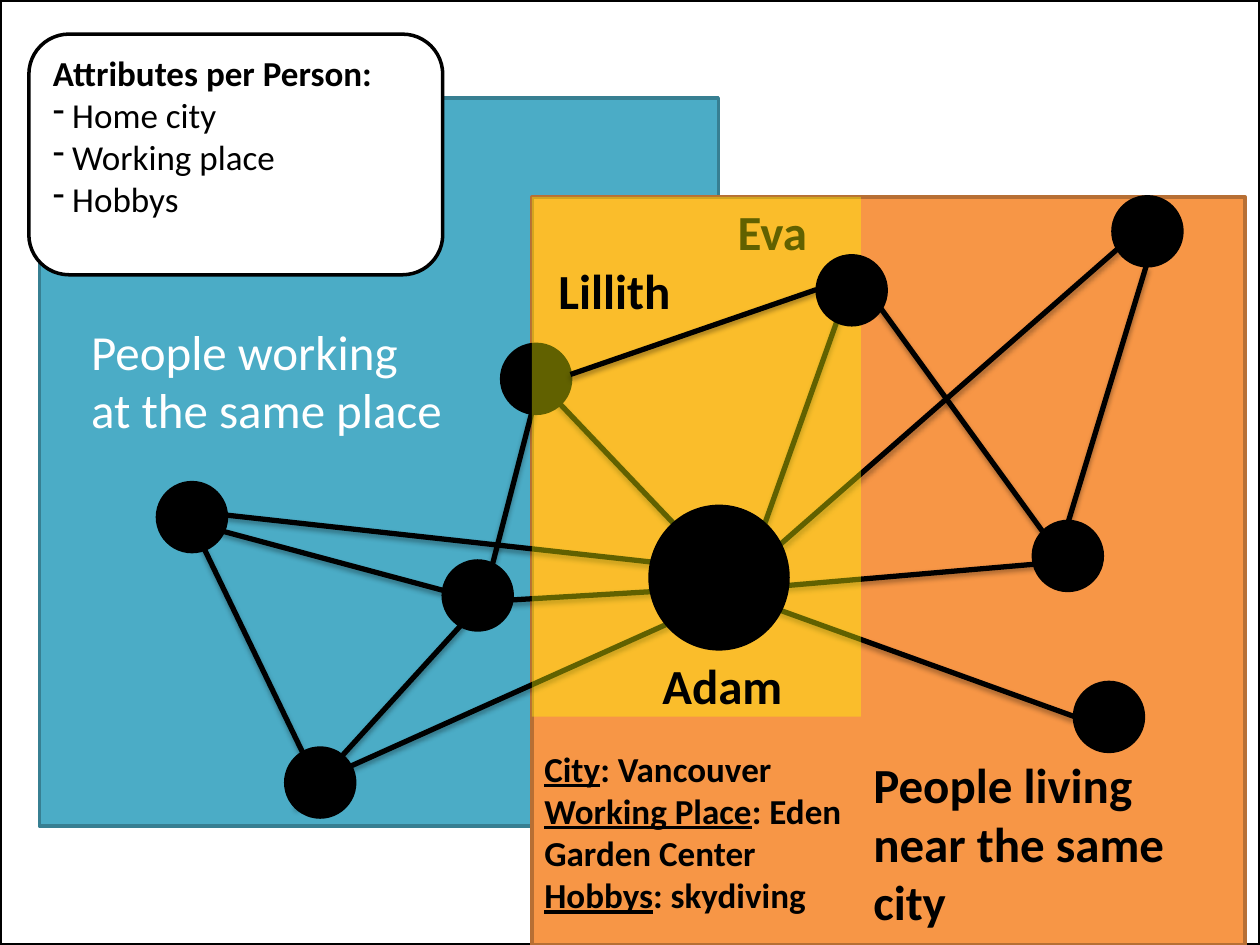
from typing import NamedTuple
from lxml.etree import SubElement
from pptx import Presentation
from pptx.dml.color import RGBColor
from pptx.enum.shapes import MSO_CONNECTOR, MSO_SHAPE
from pptx.enum.text import MSO_ANCHOR, PP_ALIGN
from pptx.oxml.ns import qn
from pptx.util import Pt


class Wire(NamedTuple):
    x1: float
    y1: float
    x2: float
    y2: float


class Node(NamedTuple):
    x: float
    y: float
    w: float = 39.4
    h: float = 39.4


class Run(NamedTuple):
    text: str
    bold: bool = True
    under: bool = False


class Label(NamedTuple):
    x: float
    y: float
    w: float
    h: float
    lines: list[list[Run]]
    size: float = 28
    color: str = "000000"
    wrap: bool = False


BACK = [
    Wire(281.5, 343.5, 382.5, 337.5),
    Wire(416, 337.5, 613.5, 320.5),
    Wire(399.5, 332, 614, 409.5),
    Wire(410.5, 343.5, 185.5, 444.5),
    Wire(112.5, 292.5, 416, 326),
    Wire(422, 332, 647.5, 134.5),
    Wire(106.5, 298, 276, 343.5),
    Wire(106.5, 292.5, 185.5, 456),
    Wire(427.5, 326, 489.5, 152),
    Wire(276, 343.5, 169, 461),
    Wire(304, 214, 410.5, 326),
    Wire(276, 343.5, 309.5, 214),
]
FRONT = [
    Wire(655, 152, 610.5, 298),
    Wire(501, 173, 596, 304),
    Wire(326, 214, 466.5, 165.5),
]
NODES = [
    Node(163.3, 427.5),
    Node(614, 390),
    Node(590.5, 298),
    Node(90, 275.8),
    Node(253.3, 320.6),
    Node(286.7, 196.8),
    Node(636, 112.5),
]
EVA = Node(467, 146.2)
ADAM = Node(371.5, 289.4, 78.8, 81.4)

NAME = Label(414.5, 111.5, 55, 41, [[Run("Eva")]])
LABELS = [
    Label(312, 145.5, 79, 41, [[Run("Lillith")]]),
    Label(371.5, 371, 83.5, 41, [[Run("Adam")]]),
    Label(492, 427.5, 227, 75,
          [[Run("People living")], [Run("near the same city")]]),
    Label(45, 180, 217, 75,
          [[Run("People working", False)], [Run("at the same place", False)]],
          color="FFFFFF"),
    Label(304, 423.5, 214, 116,
          [[Run("City", under=True), Run(": Vancouver")],
           [Run("Working Place", under=True), Run(": Eden Garden Center")],
           [Run("Hobbys", under=True), Run(": skydiving")]],
          size=20, wrap=True),
]

deck = Presentation()
deck.slide_width, deck.slide_height = Pt(720), Pt(540)
slide = deck.slides.add_slide(deck.slide_layouts[6])


def paint(code: str) -> RGBColor:
    return RGBColor.from_string(code)


def add_box(kind, x: float, y: float, w: float, h: float,
            fill: str, edge: str | None = None):
    box = slide.shapes.add_shape(kind, Pt(x), Pt(y), Pt(w), Pt(h))
    box.shadow.inherit = False
    box.fill.solid()
    box.fill.fore_color.rgb = paint(fill)
    if edge:
        box.line.color.rgb = paint(edge)
        box.line.width = Pt(2)
    else:
        box.line.fill.background()
    return box


def add_node(node: Node) -> None:
    add_box(MSO_SHAPE.OVAL, *node, "000000", "000000")


def add_wire(wire: Wire) -> None:
    line = slide.shapes.add_connector(
        MSO_CONNECTOR.STRAIGHT, *(Pt(v) for v in wire))
    line.line.color.rgb = paint("000000")
    line.line.width = Pt(3)
    effect = SubElement(line._element.spPr, qn("a:effectLst"))
    shade = SubElement(effect, qn("a:outerShdw"), blurRad=str(Pt(3.1)),
                       dist=str(Pt(1.8)), dir="5400000", rotWithShape="0")
    tint = SubElement(shade, qn("a:srgbClr"), val="000000")
    SubElement(tint, qn("a:alpha"), val="35000")


def write(frame, lines: list[list[Run]], size: float, color: str) -> None:
    for i, runs in enumerate(lines):
        para = frame.paragraphs[0] if i == 0 else frame.add_paragraph()
        para.alignment = PP_ALIGN.LEFT
        for item in runs:
            run = para.add_run()
            run.text = item.text
            font = run.font
            font.name, font.size = "Calibri", Pt(size)
            font.bold, font.underline = item.bold, item.under
            font.color.rgb = paint(color)


def add_label(label: Label) -> None:
    box = slide.shapes.add_textbox(
        Pt(label.x), Pt(label.y), Pt(label.w), Pt(label.h))
    box.text_frame.word_wrap = label.wrap
    write(box.text_frame, label.lines, label.size, label.color)


def add_card() -> None:
    card = add_box(MSO_SHAPE.ROUNDED_RECTANGLE, 16.5, 19.5, 236.5, 137.5,
                   "FFFFFF", "000000")
    frame = card.text_frame
    frame.word_wrap = True
    frame.vertical_anchor = MSO_ANCHOR.MIDDLE
    frame.margin_bottom = Pt(25.5)
    items = ["Home city", "Working place", "Hobbys"]
    lines = [[Run("Attributes per Person:")]]
    lines += [[Run(item, False)] for item in items]
    write(frame, lines, 20, "000000")
    for para in frame.paragraphs[1:]:
        props = para._p.get_or_add_pPr()
        props.set("marL", str(Pt(11)))
        props.set("indent", str(Pt(-11)))
        SubElement(props, qn("a:buFontTx"))
        SubElement(props, qn("a:buChar"), char="-")


add_box(MSO_SHAPE.RECTANGLE, 0, 0, 720, 540, "FFFFFF", "000000")
add_box(MSO_SHAPE.RECTANGLE, 22.5, 56, 388, 416, "4BACC6", "377F92")
add_box(MSO_SHAPE.RECTANGLE, 304, 112.5, 407.5, 427.5, "F79646", "B76F34")
add_card()
for wire in BACK:
    add_wire(wire)
add_label(NAME)
for node in NODES:
    add_node(node)
glaze = add_box(MSO_SHAPE.RECTANGLE, 304, 112.5, 188, 297, "FFFF00")
tone = glaze._element.spPr.find(qn("a:solidFill")).find(qn("a:srgbClr"))
SubElement(tone, qn("a:alpha"), val="38000")
for node in (EVA, ADAM):
    add_node(node)
for label in LABELS:
    add_label(label)
for wire in FRONT:
    add_wire(wire)

deck.save("out.pptx")
